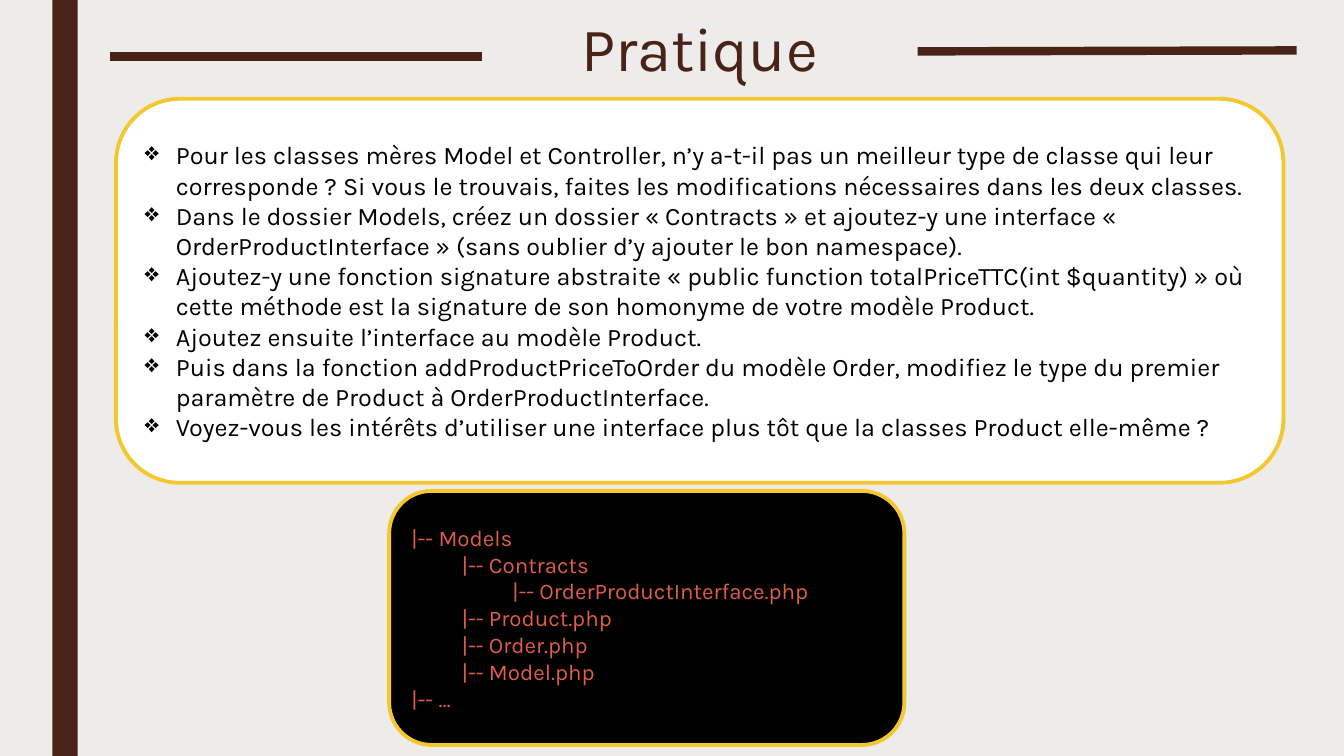
from lxml.etree import SubElement
from pptx import Presentation
from pptx.dml.color import RGBColor
from pptx.enum.shapes import MSO_CONNECTOR, MSO_SHAPE
from pptx.enum.text import MSO_ANCHOR, PP_ALIGN
from pptx.oxml.ns import qn
from pptx.util import Inches, Pt

# Content
TITLE = "Pratique"
TASKS = [
    "Pour les classes mères Model et Controller, n’y a-t-il pas un meilleur type de classe qui leur "
    "corresponde ? Si vous le trouvais, faites les modifications nécessaires dans les deux classes.",
    "Dans le dossier Models, créez un dossier « Contracts » et ajoutez-y une interface "
    "« OrderProductInterface » (sans oublier d’y ajouter le bon namespace).",
    "Ajoutez-y une fonction signature abstraite « public function totalPriceTTC(int $quantity) » où "
    "cette méthode est la signature de son homonyme de votre modèle Product.",
    "Ajoutez ensuite l’interface au modèle Product.",
    "Puis dans la fonction addProductPriceToOrder du modèle Order, modifiez le type du premier "
    "paramètre de Product à OrderProductInterface.",
    "Voyez-vous les intérêts d’utiliser une interface plus tôt que la classes Product elle-même ?",
]
TREE = [  # depth, entry
    (0, "Models"),
    (1, "Contracts"),
    (2, "OrderProductInterface.php"),
    (1, "Product.php"),
    (1, "Order.php"),
    (1, "Model.php"),
    (0, "…"),
]
RULES = [(1.09, 0.56, 4.78, 0.56), (9.1, 0.51, 12.86, 0.5)]
COLORS = {"back": "EDECEB", "brown": "4A2318", "gold": "F3C82E",
          "white": "FFFFFF", "black": "000000", "coral": "DF5D4A"}
FONT = "Karla"
HANG, STEP = 0.31, 0.5


def color(name):
    return RGBColor.from_string(COLORS[name])


def write(par, text, size, ink, indent=0, bullet=None, **format):
    run = par.add_run()
    run.text = text
    for key, value in {"name": FONT, "size": Pt(size)}.items():
        setattr(run.font, key, value)
    run.font.color.rgb = color(ink)
    for key, value in {"alignment": PP_ALIGN.LEFT, **format}.items():
        setattr(par, key, value)
    props = par._p.get_or_add_pPr()
    props.set("marL", str(Inches(indent)))
    props.set("indent", str(-Inches(indent) if bullet else 0))
    if bullet:
        SubElement(props, qn("a:buChar"), char=bullet)


def fill_text(frame, rows):
    frame.word_wrap = True
    frame.vertical_anchor = MSO_ANCHOR.MIDDLE
    for i, row in enumerate(rows):
        par = frame.add_paragraph() if i else frame.paragraphs[0]
        write(par, **row)


def add_box(slide, kind, at, fill, edge=None):
    box = slide.shapes.add_shape(kind, *map(Inches, at))
    box.shadow.inherit = False
    box.fill.solid()
    box.fill.fore_color.rgb = color(fill)
    if edge:
        box.line.color.rgb = color(edge)
        box.line.width = Pt(2.75)
    else:
        box.line.fill.background()
    return box


def main():
    deck = Presentation()
    deck.slide_width, deck.slide_height = Inches(13.33), Inches(7.5)
    slide = deck.slides.add_slide(deck.slide_layouts[6])
    slide.background.fill.solid()
    slide.background.fill.fore_color.rgb = color("back")

    # Side band and title
    add_box(slide, MSO_SHAPE.RECTANGLE, (0.52, 0, 0.25, 7.5), "brown")
    title = slide.shapes.add_textbox(*map(Inches, (4.78, 0.12, 4.32, 0.79)))
    fill_text(title.text_frame, [dict(text=TITLE, size=44, ink="brown",
                                      alignment=PP_ALIGN.CENTER, line_spacing=0.89)])

    # Rules beside the title
    for ends in RULES:
        rule = slide.shapes.add_connector(MSO_CONNECTOR.STRAIGHT, *map(Inches, ends))
        rule.line.color.rgb = color("brown")
        rule.line.width = Pt(6)
        SubElement(rule._element.spPr, qn("a:effectLst"))

    # Task list
    tasks = add_box(slide, MSO_SHAPE.ROUNDED_RECTANGLE, (1.15, 0.98, 11.58, 3.81), "white", "gold")
    fill_text(tasks.text_frame, [dict(text=task, size=18, ink="black", indent=HANG, bullet="❖")
                                 for task in TASKS])

    # Folder tree
    tree = add_box(slide, MSO_SHAPE.ROUNDED_RECTANGLE, (3.86, 4.87, 5.11, 2.52), "black", "gold")
    fill_text(tree.text_frame, [dict(text=f"|-- {entry}", size=16, ink="coral", indent=depth * STEP)
                                for depth, entry in TREE])

    deck.save("out.pptx")


if __name__ == "__main__":
    main()
